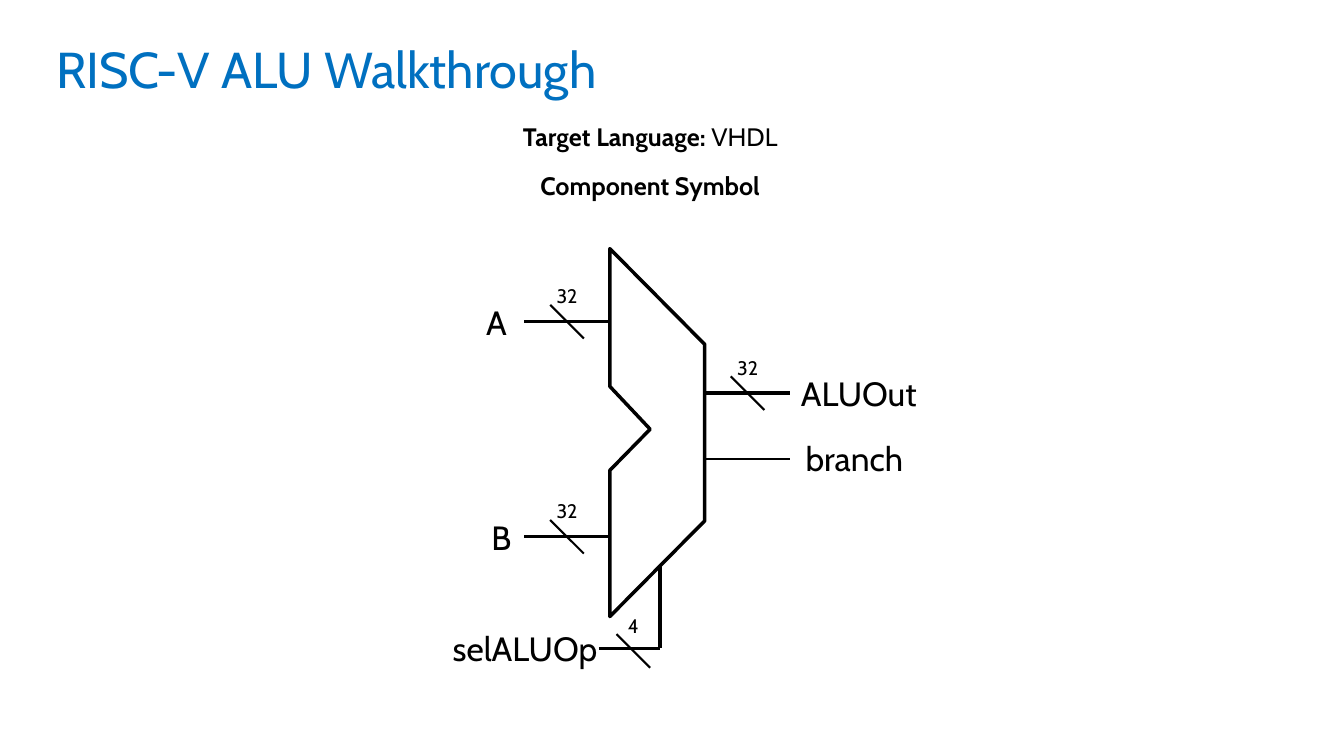
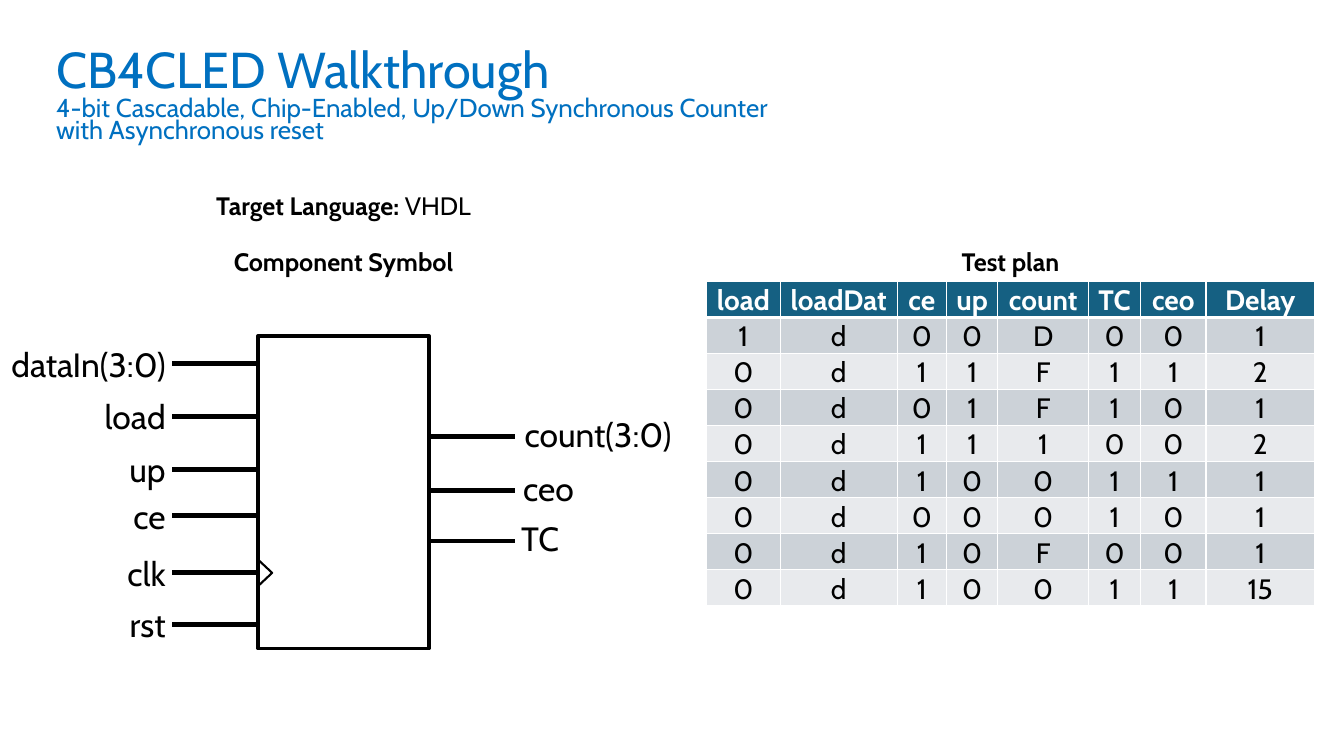
from lxml import etree
from pptx import Presentation
from pptx.dml.color import RGBColor
from pptx.enum.shapes import MSO_CONNECTOR, MSO_SHAPE
from pptx.enum.text import MSO_ANCHOR, MSO_AUTO_SIZE, PP_ALIGN
from pptx.oxml.ns import qn
from pptx.util import Inches, Pt

LEFT, CENTER, RIGHT = PP_ALIGN.LEFT, PP_ALIGN.CENTER, PP_ALIGN.RIGHT
TOP = MSO_ANCHOR.TOP
FIXED, GROW = MSO_AUTO_SIZE.NONE, MSO_AUTO_SIZE.SHAPE_TO_FIT_TEXT
STRAIGHT, RECTANGLE = MSO_CONNECTOR.STRAIGHT, MSO_SHAPE.RECTANGLE

COLUMNS, ROWS = 160, 90
TITLE_ONLY = 5
FONT = "Cabin"
COLORS = {
    "title": "0070C0",
    "ink": "000000",
    "header": "156082",
    "odd": "CCD2D8",
    "even": "E8EAED",
    "white": "FFFFFF",
}
# Line widths and text sizes in points
THIN, THICK, HEAVY = 1.5, 2.5, 3.5
WIDTH_SIZE, CAPTION_SIZE, CELL_SIZE, LABEL_SIZE = 14, 18, 20, 24
# Lengths in grid cells
WIRE, LABEL_WIDTH, CAPTION_WIDTH = 10.2, 23.2, 64
SHARE_LEFT_OF_ANCHOR = {LEFT: 0, CENTER: 0.5, RIGHT: 1}


def rgb(color):
    return RGBColor.from_string(COLORS[color])


class Deck:
    """Slides on a grid of 160 columns and 90 rows."""

    def __init__(self):
        self.prs = Presentation()
        self.prs.slide_width, self.prs.slide_height = Inches(13.333), Inches(7.5)
        self.slide = None

    def x(self, columns):
        return round(self.prs.slide_width * columns / COLUMNS)

    def y(self, rows):
        return round(self.prs.slide_height * rows / ROWS)

    def box(self, left, top, width, height):
        return self.x(left), self.y(top), self.x(width), self.y(height)

    def style(self, paragraph, size, color="ink", align=CENTER, bold=False, spacing=None):
        paragraph.alignment = align
        paragraph.line_spacing = spacing
        font = paragraph.font
        font.name, font.size, font.bold = FONT, Pt(size), bold
        font.color.rgb = rgb(color)

    def add_slide(self, title):
        self.slide = self.prs.slides.add_slide(self.prs.slide_layouts[TITLE_ONLY])
        heading = self.slide.shapes.title
        heading.left, heading.top, heading.width, heading.height = self.box(5.5, 4.7, 138, 17.4)
        frame = heading.text_frame
        frame.text = title
        frame.auto_size, frame.vertical_anchor = FIXED, TOP
        self.style(frame.paragraphs[0], 36, "title", LEFT, spacing=0.9)

    def text_frame(self, left, top, width, height, fit=GROW):
        frame = self.slide.shapes.add_textbox(*self.box(left, top, width, height)).text_frame
        frame.word_wrap, frame.auto_size = True, fit
        return frame

    def subtitle(self, *lines):
        frame = self.text_frame(5.5, 11.3, 138, 7.1, FIXED)
        frame.text = "\n".join(lines)
        for paragraph in frame.paragraphs:
            self.style(paragraph, 18.5, "title", LEFT, spacing=0.7)

    def caption(self, center, top, bold_part, plain_part="", width=CAPTION_WIDTH):
        paragraph = self.text_frame(center - width / 2, top, width, 4.8).paragraphs[0]
        self.style(paragraph, CAPTION_SIZE)
        lead = paragraph.add_run()
        lead.text, lead.font.bold = bold_part, True
        if plain_part:
            paragraph.add_run().text = plain_part

    def label(self, text, x, y, align=CENTER, size=LABEL_SIZE, height=6):
        """Text whose box is centred on row y and aligned to column x."""
        left = x - LABEL_WIDTH * SHARE_LEFT_OF_ANCHOR[align]
        frame = self.text_frame(left, y - height / 2, LABEL_WIDTH, height)
        frame.text = text
        self.style(frame.paragraphs[0], size, align=align)

    def ink(self, line, weight):
        line.color.rgb, line.width = rgb("ink"), Pt(weight)

    def line(self, x1, y1, x2, y2, weight=THICK):
        connector = self.slide.shapes.add_connector(
            STRAIGHT, self.x(x1), self.y(y1), self.x(x2), self.y(y2))
        self.ink(connector.line, weight)
        etree.SubElement(connector.element.spPr, qn("a:effectLst"))

    def hollow(self, shape, weight):
        shape.shadow.inherit = False
        shape.fill.background()
        self.ink(shape.line, weight)

    def rectangle(self, left, top, width, height):
        body = self.slide.shapes.add_shape(RECTANGLE, *self.box(left, top, width, height))
        self.hollow(body, THICK)

    def outline(self, points, weight=THICK, close=True):
        start, *rest = [(self.x(x), self.y(y)) for x, y in points]
        builder = self.slide.shapes.build_freeform(*start)
        builder.add_line_segments(rest, close=close)
        self.hollow(builder.convert_to_shape(), weight)

    def bus_mark(self, x, y, width):
        """Slash across a wire, with the number of bits above it."""
        self.line(x - 2, y - 2, x + 2, y + 2, THIN)
        self.label(width, x, y - 3, size=WIDTH_SIZE, height=4.1)

    def table(self, left, top, widths, row_height, rows):
        grid = self.slide.shapes.add_table(
            len(rows), len(widths),
            *self.box(left, top, sum(widths), row_height * len(rows))).table
        for column, width in zip(grid.columns, widths):
            column.width = self.x(width)
        for r, values in enumerate(rows):
            grid.rows[r].height = self.y(row_height)
            fill = "header" if r == 0 else "odd" if r % 2 else "even"
            for c, value in enumerate(values):
                self.cell(grid.cell(r, c), value, fill, r)

    def cell(self, cell, value, fill, row):
        borders = {"L": 1, "R": 1, "T": 3 if row == 1 else 1, "B": 3 if row == 0 else 1}
        properties = cell._tc.get_or_add_tcPr()
        for side, weight in borders.items():
            border = etree.SubElement(properties, qn(f"a:ln{side}"), w=str(Pt(weight)))
            solid = etree.SubElement(border, qn("a:solidFill"))
            etree.SubElement(solid, qn("a:srgbClr"), val=COLORS["white"])
        cell.fill.solid()
        cell.fill.fore_color.rgb = rgb(fill)
        cell.margin_left = cell.margin_right = Inches(0.07)
        cell.margin_top = cell.margin_bottom = 0
        cell.text = value
        paragraph = cell.text_frame.paragraphs[0]
        is_header = row == 0
        self.style(paragraph, CELL_SIZE, "white" if is_header else "ink",
                   bold=is_header, spacing=1.07)
        paragraph.space_after = Pt(8)


def alu_slide(deck):
    deck.add_slide("RISC-V ALU Walkthrough")
    deck.caption(77.4, 13.8, "Target Language: ", "VHDL")
    deck.caption(77.4, 19.7, "Component Symbol")

    left, right = 72.6, 83.9
    deck.outline([(left, 29.6), (right, 41), (right, 62), (left, 73.4),
                  (left, 56), (77.4, 51.1), (left, 46)])

    for name, center, y in (("A", 59.1, 38.3), ("B", 59.7, 63.9)):
        deck.line(left - WIRE, y, left, y)
        deck.bus_mark(left - WIRE / 2, y, "32")
        deck.label(name, center, y)

    result, branch = 46.8, 54.6
    deck.line(right, result, right + WIRE, result)
    deck.bus_mark(right + WIRE / 2, result, "32")
    deck.label("ALUOut", 110.3, result, RIGHT)
    deck.line(right, branch, right + WIRE, branch, THIN)
    deck.label("branch", 101.7, branch)

    select_x, select_y = 78.6, 77.2
    deck.line(select_x, 67.4, select_x, select_y)
    deck.line(71.3, select_y, select_x, select_y)
    deck.bus_mark(75.4, select_y + 0.3, "4")
    deck.label("selALUOp", 62.5, select_y)


def counter_slide(deck):
    deck.add_slide("CB4CLED Walkthrough")
    deck.subtitle("4-bit Cascadable, Chip-Enabled, Up/Down Synchronous Counter",
                  "with Asynchronous reset")
    deck.caption(40.9, 22.1, "Target Language: ", "VHDL")
    deck.caption(40.9, 28.7, "Component Symbol")

    left, width, clock = 30.7, 20.4, 68.2
    right = left + width
    deck.rectangle(left, 40, width, 37.2)
    deck.outline([(left, clock - 1.6), (left + 1.7, clock), (left, clock + 1.6)],
                 THIN, close=False)

    inputs = {"dataIn(3:0)": 43.3, "load": 49.6, "up": 55.9,
              "ce": 61.4, "clk": clock, "rst": 74.3}
    for name, y in inputs.items():
        deck.line(left - WIRE, y, left, y, HEAVY)
        deck.label(name, 20.9, y, RIGHT)

    outputs = [("count(3:0)", 52, 81.1, RIGHT),
               ("ceo", 58.4, 65.3, CENTER),
               ("TC", 64.4, 64.3, CENTER)]
    for name, y, anchor, align in outputs:
        deck.line(right, y, right + WIRE, y, HEAVY)
        deck.label(name, anchor, y - 0.3, align)

    deck.caption(120.3, 28.7, "Test plan", width=39.5)
    test_plan = [
        "load loadDat ce up count TC ceo Delay",
        "1 d 0 0 D 0 0 1",
        "0 d 1 1 F 1 1 2",
        "0 d 0 1 F 1 0 1",
        "0 d 1 1 1 0 0 2",
        "0 d 1 0 0 1 1 1",
        "0 d 0 0 0 1 0 1",
        "0 d 1 0 F 0 0 1",
        "0 d 1 0 0 1 1 15",
    ]
    deck.table(84.1, 33.5, [8.8, 13.9, 5.9, 6.1, 10.8, 6.2, 7.8, 12.9], 4.29,
               [row.split() for row in test_plan])


def main():
    deck = Deck()
    alu_slide(deck)
    counter_slide(deck)
    deck.prs.save("out.pptx")


if __name__ == "__main__":
    main()
